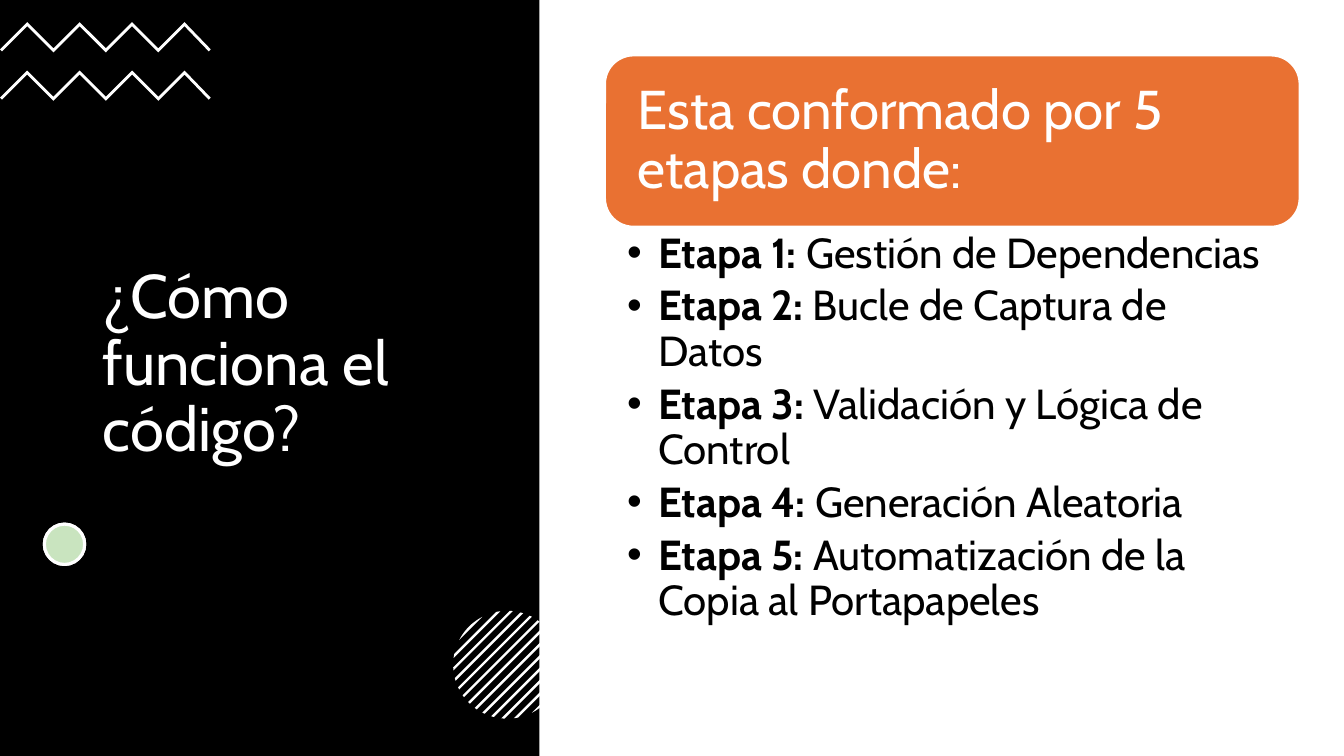
from math import acos, cos, pi, sin, sqrt

from lxml.etree import SubElement
from pptx import Presentation
from pptx.dml.color import RGBColor
from pptx.enum.shapes import MSO_SHAPE as Shape
from pptx.enum.text import MSO_ANCHOR as Anchor, MSO_AUTO_SIZE as AutoSize, PP_ALIGN as Align
from pptx.oxml.ns import qn
from pptx.util import Pt

PX = 9144  # EMU in one px, 100 px to the inch
WHITE, BLACK, ORANGE, GREEN = "FFFFFF", "000000", "E97132", "4EA72E"

STAGES = [
    "Gestión de Dependencias",
    "Bucle de Captura de Datos",
    "Validación y Lógica de Control",
    "Generación Aleatoria",
    "Automatización de la Copia al Portapapeles",
]


def px(*lengths):
    return [round(length * PX) for length in lengths]


def color(hex_code):
    return RGBColor.from_string(hex_code)


class SlideBuilder:
    font = "Cabin"
    line_spacing = 0.9

    def __init__(self, deck):
        self.page = deck.slides.add_slide(deck.slide_layouts[5])

    def paint(self, shape, fill, line=None, line_width=0, opacity=100):
        shape.shadow.inherit = False
        shape.fill.solid()
        shape.fill.fore_color.rgb = color(fill)
        if opacity < 100:
            tint = shape.fill._xPr.find(qn("a:solidFill"))[0]
            SubElement(tint, qn("a:alpha"), val=str(opacity * 1000))
        if line:
            shape.line.color.rgb = color(line)
            shape.line.width = Pt(line_width)
        else:
            shape.line.fill.background()
        return shape

    def shape(self, kind, bounds, fill, **style):
        return self.paint(self.page.shapes.add_shape(kind, *px(*bounds)), fill, **style)

    def outline(self, points, fill):
        start, *others = [px(x, y) for x, y in points]
        builder = self.page.shapes.build_freeform(*start, scale=1)
        builder.add_line_segments(others, close=True)
        return self.paint(builder.convert_to_shape(), fill)

    def frame(self, box, insets, anchor):
        frame = box.text_frame
        frame.word_wrap = True
        frame.auto_size = AutoSize.NONE
        frame.vertical_anchor = anchor
        (frame.margin_left, frame.margin_top,
         frame.margin_right, frame.margin_bottom) = px(*insets)
        return frame

    def format_para(self, para, size, ink):
        para.alignment = Align.LEFT
        para.line_spacing = self.line_spacing
        para.space_before = Pt(0)
        for span in para.runs:
            span.font.name = self.font
            span.font.size = Pt(size)
            span.font.color.rgb = color(ink)

    def text(self, box, words, size, ink, insets):
        frame = self.frame(box, insets, Anchor.MIDDLE)
        frame.text = words
        self.format_para(frame.paragraphs[0], size, ink)

    def title(self, bounds, words, size, ink):
        box = self.page.shapes.title
        box.left, box.top, box.width, box.height = px(*bounds)
        self.text(box, words, size, ink, (10, 5, 10, 5))
        return box

    def bullets(self, bounds, items, size, ink, insets, indent):
        box = self.page.shapes.add_textbox(*px(*bounds))
        frame = self.frame(box, insets, Anchor.TOP)
        for index, (label, words) in enumerate(items):
            para = frame.add_paragraph() if index else frame.paragraphs[0]
            props = para._p.get_or_add_pPr()
            props.set("marL", str(indent * PX))
            props.set("indent", str(-indent * PX))
            SubElement(props, qn("a:buFont"), typeface="Arial")
            SubElement(props, qn("a:buChar"), char="•")
            for part, bold in ((label, True), (words, False)):
                span = para.add_run()
                span.text = part
                span.font.bold = bold
            self.format_para(para, size, ink)
            para.space_after = Pt(5.4)

    def zigzag(self, top, fill, step=26, thickness=4):
        corners = [(1 + step * i, top + (0 if i % 2 else step)) for i in range(1, 8)]
        upper = [(0, top + 27), *corners, (209, top + 27)]
        lower = [(2, top + 29), *[(x, y + thickness) for x, y in corners], (207, top + 29)]
        self.outline(upper + lower[::-1], fill)

    def striped_disc(self, center_x, center_y, radius, fill, count=13, step=12.3, width=3.4):
        def rim(angle):
            return center_x + radius * cos(angle), center_y + radius * sin(angle)

        def half_angle(offset):
            return acos(max(-1, min(1, offset / sqrt(2) / radius)))

        for i in range(count):
            middle = (i - count // 2) * step
            first, last = half_angle(middle - width / 2), half_angle(middle + width / 2)
            angles = [first + (last - first) * part / 6 for part in range(7)]
            one_end = [rim(pi / 4 - angle) for angle in angles]
            other_end = [rim(pi / 4 + angle) for angle in angles]
            self.outline(one_end + other_end[::-1], fill)


def main():
    deck = Presentation()
    deck.slide_width, deck.slide_height = px(1333, 750)
    slide = SlideBuilder(deck)

    # Dark panel behind the title
    panel = slide.shape(Shape.RECTANGLE, (0, 0, 535, 750), BLACK)
    title = slide.title((92, 131, 350, 463), "¿Cómo funciona el código?", 44, WHITE)
    title.element.addprevious(panel.element)

    # Decorations
    for top in (22, 70):
        slide.zigzag(top, WHITE)
    for fill, opacity in ((WHITE, 100), (GREEN, 30)):
        slide.shape(Shape.OVAL, (44, 520, 40, 40), fill,
                    line=WHITE, line_width=2.25, opacity=opacity)
    slide.striped_disc(503, 659.5, 53.5, WHITE)

    # Heading and stages
    heading = slide.shape(Shape.ROUNDED_RECTANGLE, (600, 55, 689, 170), ORANGE,
                          line=WHITE, line_width=1.5)
    slide.text(heading, "Esta conformado por 5 etapas donde:", 39, WHITE, (24, 24, 24, 24))
    items = [(f"Etapa {number}: ", words) for number, words in enumerate(STAGES, 1)]
    slide.bullets((600, 225, 689, 468), items, 30, BLACK, (22, 5, 30, 5), 31)

    deck.save("out.pptx")


if __name__ == "__main__":
    main()
